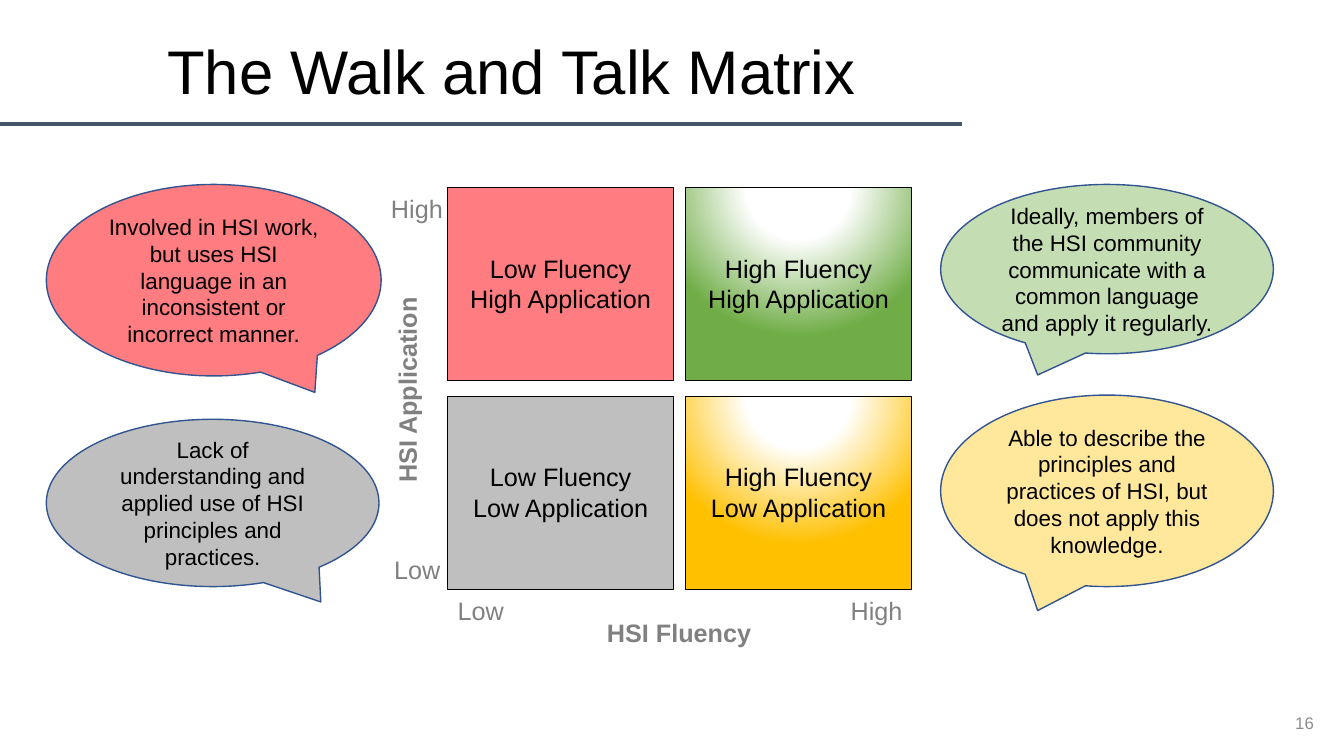
from lxml.etree import SubElement
from pptx import Presentation
from pptx.dml.color import RGBColor
from pptx.enum.shapes import MSO_CONNECTOR, MSO_SHAPE
from pptx.enum.text import MSO_ANCHOR, PP_ALIGN
from pptx.oxml import parse_xml
from pptx.oxml.ns import nsdecls, qn
from pptx.util import Inches, Pt

COLORS = {
    "black": "000000", "white": "FFFFFF", "rule": "44546A", "outline": "325491",
    "red": "FF7C80", "gray": "BEBFBE", "green": "70AD47", "gold": "FFC000",
    "pale_green": "C4DDB3", "pale_gold": "FFE79C",
    "axis": "808080", "number": "8C8C8C",
}
FONT = "Arial"
COLUMNS = {"Low": 4.44, "High": 6.8}
ROWS = {"High": 1.86, "Low": 3.93}


def rgb(name):
    return RGBColor.from_string(COLORS[name])


def add_text(tf, lines, size, color="black", align=PP_ALIGN.CENTER, bold=False):
    tf.word_wrap = True
    for i, line in enumerate(lines):
        p = tf.paragraphs[0] if i == 0 else tf.add_paragraph()
        p.alignment = align
        r = p.add_run()
        r.text = line
        r.font.name = FONT
        r.font.size = Pt(size)
        r.font.bold = bold
        r.font.color.rgb = rgb(color)


def add_filled(s, kind, box, fill, line, width):
    sp = s.shapes.add_shape(kind, *map(Inches, box))
    sp.shadow.inherit = False
    sp.fill.solid()
    sp.fill.fore_color.rgb = rgb(fill)
    sp.line.color.rgb = rgb(line)
    sp.line.width = Pt(width)
    return sp


def add_glow(sp, color):
    """Swap the solid fill for a white circular glow from the top."""
    stops = "".join(
        f'<a:gs pos="{pos}"><a:srgbClr val="{COLORS[name]}"/></a:gs>'
        for pos, name in ((0, "white"), (35000, "white"), (100000, color)))
    grad = parse_xml(
        f'<a:gradFill {nsdecls("a")} rotWithShape="1"><a:gsLst>{stops}</a:gsLst>'
        '<a:path path="circle"><a:fillToRect l="50000" t="-80000" r="50000" b="180000"/>'
        '</a:path></a:gradFill>')
    spPr = sp._element.spPr
    spPr.replace(spPr.find(qn("a:solidFill")), grad)


def add_quadrant(s, fluency, application, color, glow):
    box = (COLUMNS[fluency], ROWS[application], 2.24, 1.92)
    sp = add_filled(s, MSO_SHAPE.RECTANGLE, box, color, "black", 0.75)
    if glow:
        add_glow(sp, color)
    tf = sp.text_frame
    tf.vertical_anchor = MSO_ANCHOR.TOP
    tf.margin_top = Inches(0.65)
    add_text(tf, [f"{fluency} Fluency", f"{application} Application"], 18)


def add_callout(s, box, color, text, tail=None):
    sp = add_filled(s, MSO_SHAPE.OVAL_CALLOUT, box, color, "outline", 1)
    if tail:
        sp.adjustments[0], sp.adjustments[1] = tail
    sp.text_frame.vertical_anchor = MSO_ANCHOR.MIDDLE
    add_text(sp.text_frame, [text], 16)


def add_label(s, box, text, align=PP_ALIGN.LEFT, bold=False, rotation=0,
              size=18, color="axis"):
    sp = s.shapes.add_textbox(*map(Inches, box))
    sp.rotation = rotation
    sp.text_frame.vertical_anchor = MSO_ANCHOR.MIDDLE
    add_text(sp.text_frame, [text], size, color, align, bold)


def add_title(s, text):
    title = s.shapes.title
    title.left, title.top, title.width, title.height = map(Inches, (1.56, 0.26, 9.08, 0.96))
    tf = title.text_frame
    tf.vertical_anchor = MSO_ANCHOR.MIDDLE
    add_text(tf, [text], 44, align=PP_ALIGN.LEFT)
    tf.paragraphs[0].line_spacing = 0.9


def add_rule(s, x1, x2, y):
    ln = s.shapes.add_connector(MSO_CONNECTOR.STRAIGHT, *map(Inches, (x1, y, x2, y)))
    ln.line.color.rgb = rgb("rule")
    ln.line.width = Pt(2.25)
    SubElement(ln._element.spPr, qn("a:effectLst"))


def main():
    prs = Presentation()
    prs.slide_width, prs.slide_height = Inches(13.33), Inches(7.5)
    s = prs.slides.add_slide(prs.slide_layouts[5])

    # Heading
    add_rule(s, 0, 9.54, 1.23)
    add_title(s, "The Walk and Talk Matrix")

    # Callouts
    add_callout(s, (9.33, 1.83, 3.3, 1.68), "pale_green",
                "Ideally, members of the HSI community communicate with a "
                "common language and apply it regularly.")
    add_callout(s, (0.46, 4.16, 3.3, 1.66), "gray",
                "Lack of understanding and applied use of HSI principles and practices.",
                (0.325, 0.592))
    add_callout(s, (9.33, 3.92, 3.3, 1.9), "pale_gold",
                "Able to describe the principles and practices of HSI, but "
                "does not apply this knowledge.")
    add_callout(s, (0.46, 1.83, 3.32, 1.9), "red",
                "Involved in HSI work, but uses HSI language in an "
                "inconsistent or incorrect manner.", (0.302, 0.586))

    # Matrix
    for fluency, application, color in (
            ("Low", "High", "red"), ("Low", "Low", "gray"),
            ("High", "Low", "gold"), ("High", "High", "green")):
        add_quadrant(s, fluency, application, color, glow=fluency == "High")

    # Axis labels
    add_label(s, (4.44, 5.86, 2.33, 0.4), "Low")
    add_label(s, (6.72, 5.86, 2.33, 0.4), "High", PP_ALIGN.RIGHT)
    add_label(s, (3.81, 5.45, 2.33, 0.4), "Low")
    add_label(s, (3.78, 1.87, 2.33, 0.4), "High")
    add_label(s, (4.44, 6.07, 4.59, 0.4), "HSI Fluency", PP_ALIGN.CENTER, bold=True)
    add_label(s, (1.74, 3.67, 4.59, 0.4), "HSI Application", PP_ALIGN.CENTER,
              bold=True, rotation=270)

    # Slide number
    add_label(s, (12.67, 6.97, 0.46, 0.4), "16", PP_ALIGN.RIGHT, size=12, color="number")

    prs.save("out.pptx")


if __name__ == "__main__":
    main()
